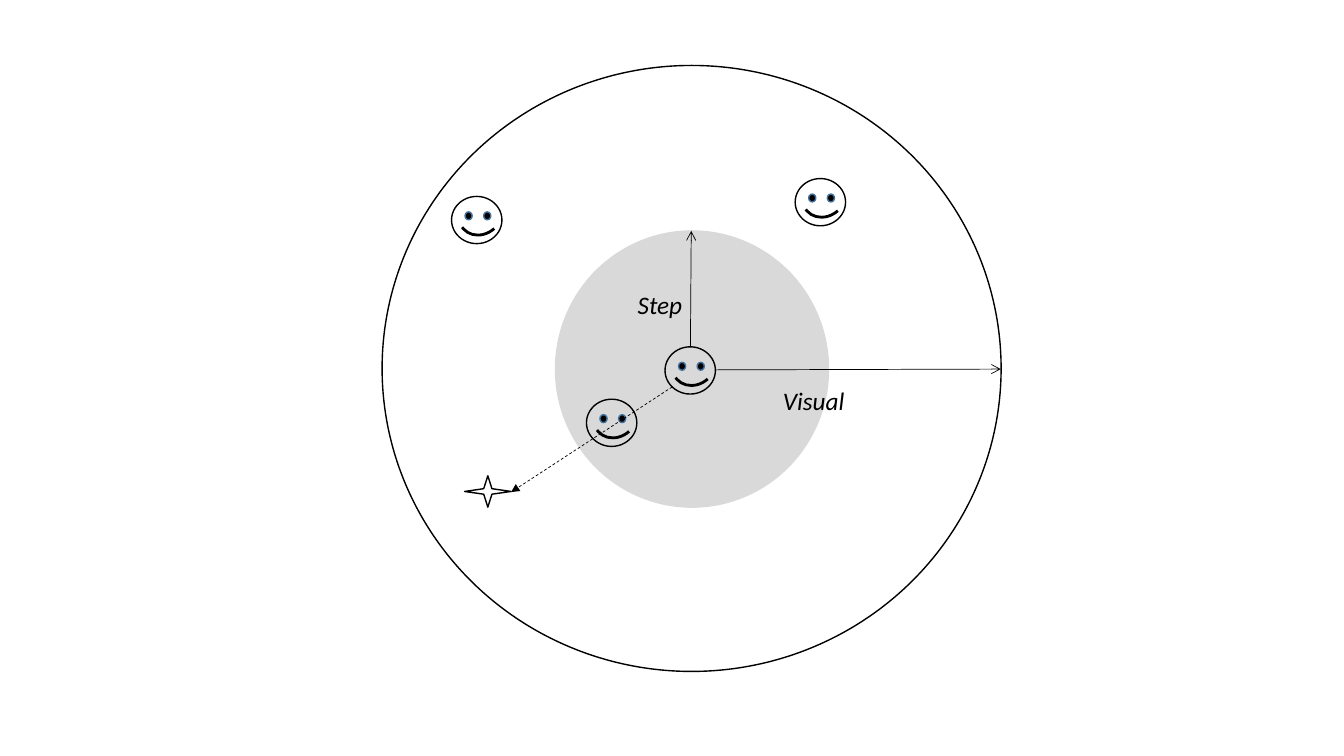
"""Build a slide showing the visual range and step of a searching individual."""
from pptx import Presentation
from pptx.dml.color import RGBColor
from pptx.enum.dml import MSO_LINE
from pptx.enum.shapes import MSO_CONNECTOR, MSO_SHAPE
from pptx.enum.text import MSO_AUTO_SIZE
from pptx.oxml.ns import qn
from pptx.util import Cm, Pt
from lxml import etree

BLACK = RGBColor(0x00, 0x00, 0x00)
GREY = RGBColor(0xD9, 0xD9, 0xD9)
EYE_BLUE = RGBColor(0x43, 0x73, 0x9E)


def add_outline(shapes, kind, x, y, w, h, fill=None, line=BLACK, width=1):
    sp = shapes.add_shape(kind, Cm(x), Cm(y), Cm(w), Cm(h))
    sp.shadow.inherit = False
    if fill is None:
        sp.fill.background()
    else:
        sp.fill.solid()
        sp.fill.fore_color.rgb = fill
    sp.line.color.rgb = line
    sp.line.width = Pt(width)
    return sp


def add_face(shapes, x, y):
    face = shapes.add_group_shape().shapes
    add_outline(face, MSO_SHAPE.OVAL, x, y, 1.27, 1.19)
    for dx in (0.34, 0.81):
        add_outline(face, MSO_SHAPE.OVAL, x + dx, y + 0.39, 0.18, 0.2, BLACK, EYE_BLUE)
    smile = add_outline(face, MSO_SHAPE.ARC, x + 0.15, y - 0.08, 1.17, 1.02, width=2)
    smile.adjustments[0] = 162
    smile.adjustments[1] = 3.177
    smile.rotation = 138.3


prs = Presentation()
prs.slide_width = Cm(33.87)
prs.slide_height = Cm(19.05)
s = prs.slides.add_slide(prs.slide_layouts[6])

add_outline(s.shapes, MSO_SHAPE.OVAL, 9.63, 1.65, 15.6, 15.27)
add_outline(s.shapes, MSO_SHAPE.OVAL, 14, 5.82, 6.88, 6.96, GREY, GREY)

for text, x, y in (("Step", 15.82, 7.16), ("Visual", 19.48, 9.58)):
    tf = s.shapes.add_textbox(Cm(x), Cm(y), Cm(2.46), Cm(1.02)).text_frame
    tf.word_wrap = True
    tf.auto_size = MSO_AUTO_SIZE.SHAPE_TO_FIT_TEXT
    tf.text = text
    font = tf.paragraphs[0].runs[0].font
    font.name = "Calibri"
    font.size = Pt(18)
    font.italic = True
    font.color.rgb = BLACK

for x, y in ((16.76, 8.74), (14.78, 10.06), (20.04, 4.5), (11.38, 4.95)):
    add_face(s.shapes, x, y)

add_outline(s.shapes, MSO_SHAPE.STAR_4_POINT, 11.71, 11.99, 1.17, 0.79)

arrows = (
    (17.4, 8.74, 17.42, 5.82, "arrow", None),
    (18.03, 9.32, 25.22, 9.3, "arrow", None),
    (16.94, 9.75, 12.88, 12.4, "triangle", MSO_LINE.DASH),
)
for x1, y1, x2, y2, head, dash in arrows:
    arrow = s.shapes.add_connector(MSO_CONNECTOR.STRAIGHT, Cm(x1), Cm(y1), Cm(x2), Cm(y2))
    arrow.line.color.rgb = BLACK
    arrow.line.width = Pt(0.5)
    if dash:
        arrow.line.dash_style = dash
    etree.SubElement(arrow.line._get_or_add_ln(), qn("a:tailEnd"), type=head)
    etree.SubElement(arrow._element.spPr, qn("a:effectLst"))

prs.save("out.pptx")
